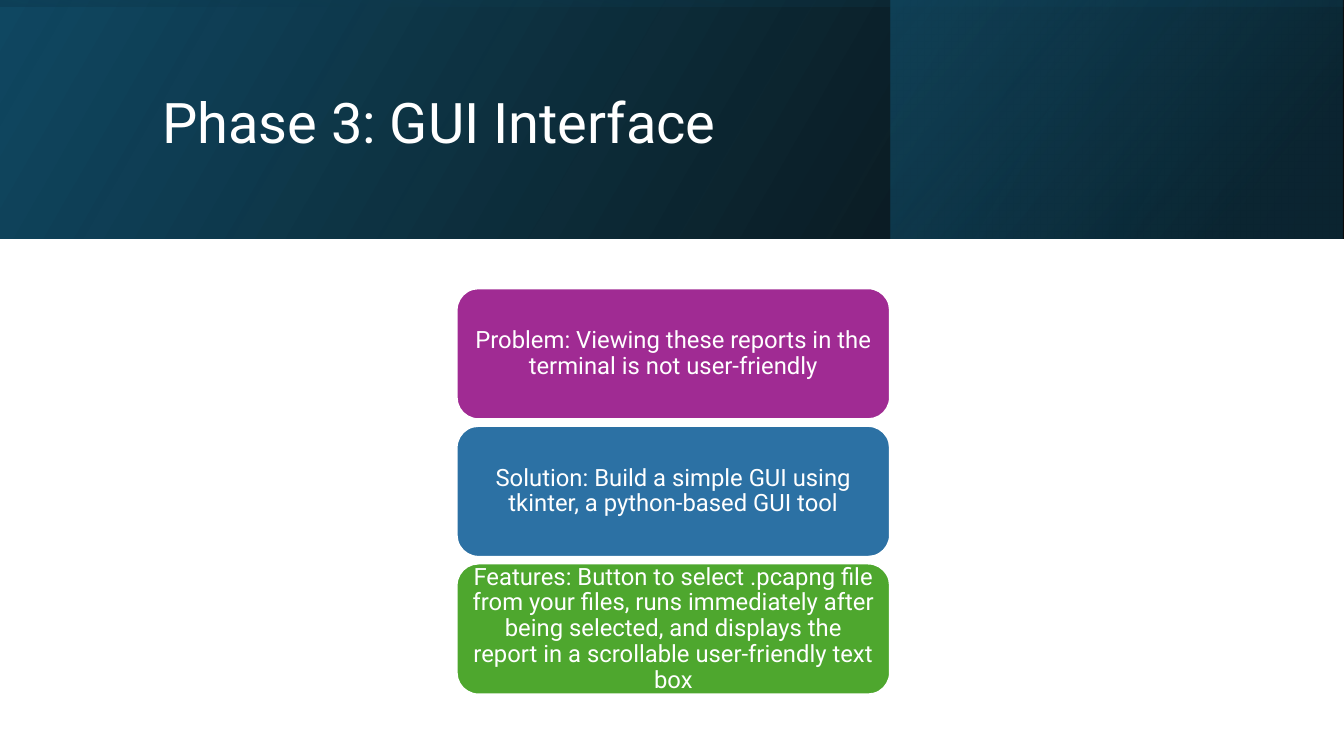
from dataclasses import dataclass

from lxml.etree import SubElement
from pptx import Presentation
from pptx.dml.color import RGBColor
from pptx.enum.shapes import MSO_SHAPE
from pptx.enum.text import MSO_ANCHOR, MSO_AUTO_SIZE, PP_ALIGN
from pptx.oxml.ns import qn
from pptx.util import Emu, Inches, Pt

CELL = Inches(0.1)  # side of one grid column or row
COLUMNS, ROWS = 133.33, 75
BANNER_ROWS = 23.7
FONT = "Roboto"
COLORS = {
    "white": "FFFFFF",
    "black": "000000",
    "navy": "104862",
    "deep": "0B3041",
    "teal": "156082",
    "purple": "A02B93",
    "blue": "2C71A4",
    "green": "4EA72E",
}


@dataclass
class Area:
    column: float
    row: float
    columns: float
    rows: float

    def lengths(self) -> list[Emu]:
        return [cells(n) for n in (self.column, self.row, self.columns, self.rows)]


@dataclass
class Stop:
    position: float
    color: str
    opacity: int  # percent


@dataclass
class Band:
    area: Area
    angle: int  # clockwise degrees
    stops: tuple[Stop, Stop]
    rotation: int = 0


@dataclass
class Card:
    color: str
    text: str


BANDS = [
    Band(Area(0, 0, COLUMNS, BANNER_ROWS), 330,
         (Stop(0, "black", 96), Stop(1, "navy", 100))),
    Band(Area(88.4, 0, 44.8, BANNER_ROWS), 320,
         (Stop(0.19, "deep", 68), Stop(1, "teal", 48))),
    Band(Area((COLUMNS - BANNER_ROWS) / 2, (BANNER_ROWS - COLUMNS) / 2,
              BANNER_ROWS, COLUMNS), 350,
         (Stop(0.23, "navy", 16), Stop(0.99, "black", 45)), rotation=270),
]
TITLE_AREA = Area(15.1, 3.8, 106.3, 17.2)
FIRST_CARD = Area(45.3, 28.6, 43, 13)
CARD_PITCH = 13.65
CARDS = [
    Card("purple", "Problem: Viewing these reports in the terminal is not user-friendly"),
    Card("blue", "Solution: Build a simple GUI using tkinter, a python-based GUI tool"),
    Card("green", "Features: Button to select .pcapng file from your files, runs "
                  "immediately after being selected, and displays the report in a "
                  "scrollable user-friendly text box"),
]
FRAME_FORMAT = {
    "word_wrap": True,
    "auto_size": MSO_AUTO_SIZE.NONE,
    "vertical_anchor": MSO_ANCHOR.MIDDLE,
}
CARD_MARGINS = {
    "margin_left": Inches(0.07),
    "margin_right": Inches(0.07),
    "margin_top": Inches(0.04),
    "margin_bottom": Inches(0.04),
}


def cells(count: float) -> Emu:
    return Emu(round(count * CELL))


def rgb(name: str) -> RGBColor:
    return RGBColor.from_string(COLORS[name])


def apply(target, values: dict) -> None:
    for name, value in values.items():
        setattr(target, name, value)


def write(frame, text: str, size: int, alignment: PP_ALIGN, margins: dict) -> None:
    apply(frame, FRAME_FORMAT | margins)
    para = frame.paragraphs[0]
    apply(para, {"alignment": alignment, "line_spacing": 0.9})
    span = para.add_run()
    span.text = text
    apply(span.font, {"name": FONT, "size": Pt(size)})
    span.font.color.rgb = rgb("white")


def draw_band(page, band: Band) -> None:
    box = page.shapes.add_shape(MSO_SHAPE.RECTANGLE, *band.area.lengths())
    box.shadow.inherit = False
    box.rotation = band.rotation
    box.line.fill.background()
    properties = box._element.spPr
    properties.find(qn("a:xfrm")).set("flipH", "1")
    box.fill.gradient()
    box.fill.gradient_angle = 360 - band.angle
    for target, stop in zip(box.fill.gradient_stops, band.stops):
        target.position = stop.position
        target.color.rgb = rgb(stop.color)
    for color, stop in zip(properties.iter(qn("a:srgbClr")), band.stops):
        SubElement(color, qn("a:alpha"), val=str(stop.opacity * 1000))


def draw_title(page, text: str) -> None:
    title = page.shapes.title
    apply(title, dict(zip(("left", "top", "width", "height"), TITLE_AREA.lengths())))
    write(title.text_frame, text, 40, PP_ALIGN.LEFT, {})
    page.shapes._spTree.append(title._element)  # in front of the bands


def draw_card(page, card: Card, index: int) -> None:
    area = Area(FIRST_CARD.column, FIRST_CARD.row + index * CARD_PITCH,
                FIRST_CARD.columns, FIRST_CARD.rows)
    box = page.shapes.add_shape(MSO_SHAPE.ROUNDED_RECTANGLE, *area.lengths())
    box.shadow.inherit = False
    box.fill.solid()
    box.fill.fore_color.rgb = rgb(card.color)
    box.line.color.rgb = rgb("white")
    box.line.width = Pt(1.5)
    write(box.text_frame, card.text, 17, PP_ALIGN.CENTER, CARD_MARGINS)


def main() -> None:
    deck = Presentation()
    deck.slide_width, deck.slide_height = cells(COLUMNS), cells(ROWS)
    page = deck.slides.add_slide(deck.slide_layouts[5])
    for band in BANDS:
        draw_band(page, band)
    draw_title(page, "Phase 3: GUI Interface")
    for index, card in enumerate(CARDS):
        draw_card(page, card, index)
    deck.save("out.pptx")


if __name__ == "__main__":
    main()
